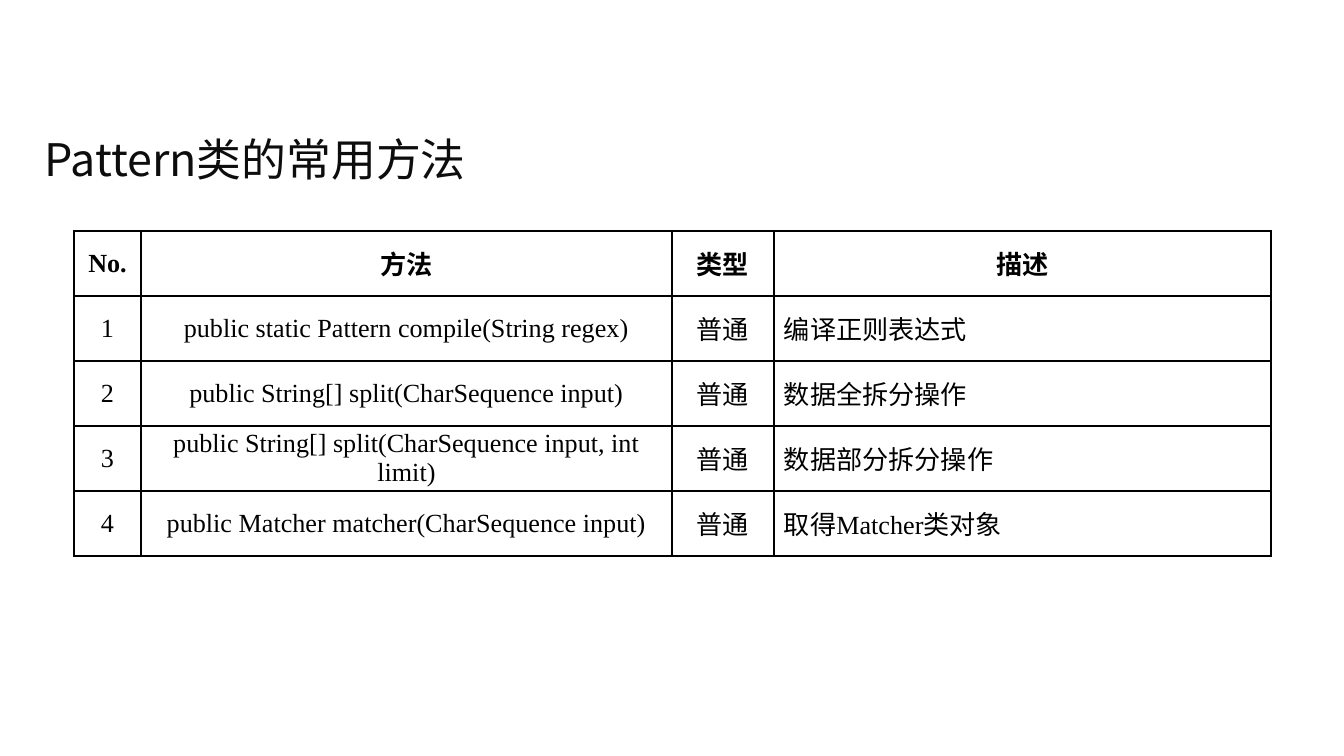
"""Build a slide with a table of the common methods of the Pattern class."""
import pptx
import pptx.dml.color
import pptx.enum.text
import pptx.util
from lxml import etree
from pptx.oxml.ns import qn

PX = pptx.util.Inches(10) / 1344
INK = pptx.dml.color.RGBColor(0x0D, 0x0D, 0x0D)
BLACK = pptx.dml.color.RGBColor(0, 0, 0)
WHITE = pptx.dml.color.RGBColor(255, 255, 255)
SANS = "Noto Sans CJK SC"
SERIF = "Times New Roman"
ALIGN = pptx.enum.text.PP_ALIGN
MIDDLE = pptx.enum.text.MSO_ANCHOR.MIDDLE


def px(num):
    return pptx.util.Emu(round(num * PX))


def write(para, text, face, size, color, bold=False):
    run = para.add_run()
    run.text = text
    font = run.font
    font.name = face
    font.size = pptx.util.Pt(size)
    font.bold = bold
    font.color.rgb = color


deck = pptx.Presentation()
deck.slide_width, deck.slide_height = px(1344), px(756)
slide = deck.slides.add_slide(deck.slide_layouts[5])

title = slide.shapes.title
title.left, title.top, title.width, title.height = px(31), px(116), px(1281), px(86)
frame = title.text_frame
frame.word_wrap = True
frame.auto_size = pptx.enum.text.MSO_AUTO_SIZE.NONE
frame.vertical_anchor = MIDDLE
para = frame.paragraphs[0]
para.alignment = ALIGN.LEFT
write(para, "Pattern类的常用方法", SANS, 24, INK)

head = ["No.", "方法", "类型", "描述"]
methods = [
    ("public static Pattern compile(String regex)", "编译正则表达式"),
    ("public String[] split(CharSequence input)", "数据全拆分操作"),
    ("public String[] split(CharSequence input, int limit)", "数据部分拆分操作"),
    ("public Matcher matcher(CharSequence input)", "取得Matcher类对象"),
]
rows = [head]
for num, (method, note) in enumerate(methods, 1):
    rows.append([str(num), method, "普通", note])

widths = [67, 531, 102, 497]
high = 65
table = slide.shapes.add_table(
    len(rows), len(widths), px(74), px(231), px(sum(widths)), px(high * len(rows))
).table
for col, width in zip(table.columns, widths):
    col.width = px(width)

for r, texts in enumerate(rows):
    table.rows[r].height = px(high)
    for c, text in enumerate(texts):
        cell = table.cell(r, c)
        cell.margin_left = cell.margin_right = px(10)
        cell.margin_top = cell.margin_bottom = 0
        cell.vertical_anchor = MIDDLE
        props = cell._tc.get_or_add_tcPr()
        for side in ("lnL", "lnR", "lnT", "lnB"):
            line = etree.SubElement(props, qn("a:" + side), w=str(pptx.util.Pt(1)))
            fill = etree.SubElement(line, qn("a:solidFill"))
            etree.SubElement(fill, qn("a:srgbClr"), val=str(BLACK))
        cell.fill.solid()
        cell.fill.fore_color.rgb = WHITE
        para = cell.text_frame.paragraphs[0]
        para.alignment = ALIGN.JUSTIFY if r and c == 3 else ALIGN.CENTER
        write(para, text, SERIF, 14, BLACK, r == 0)

deck.save("out.pptx")
